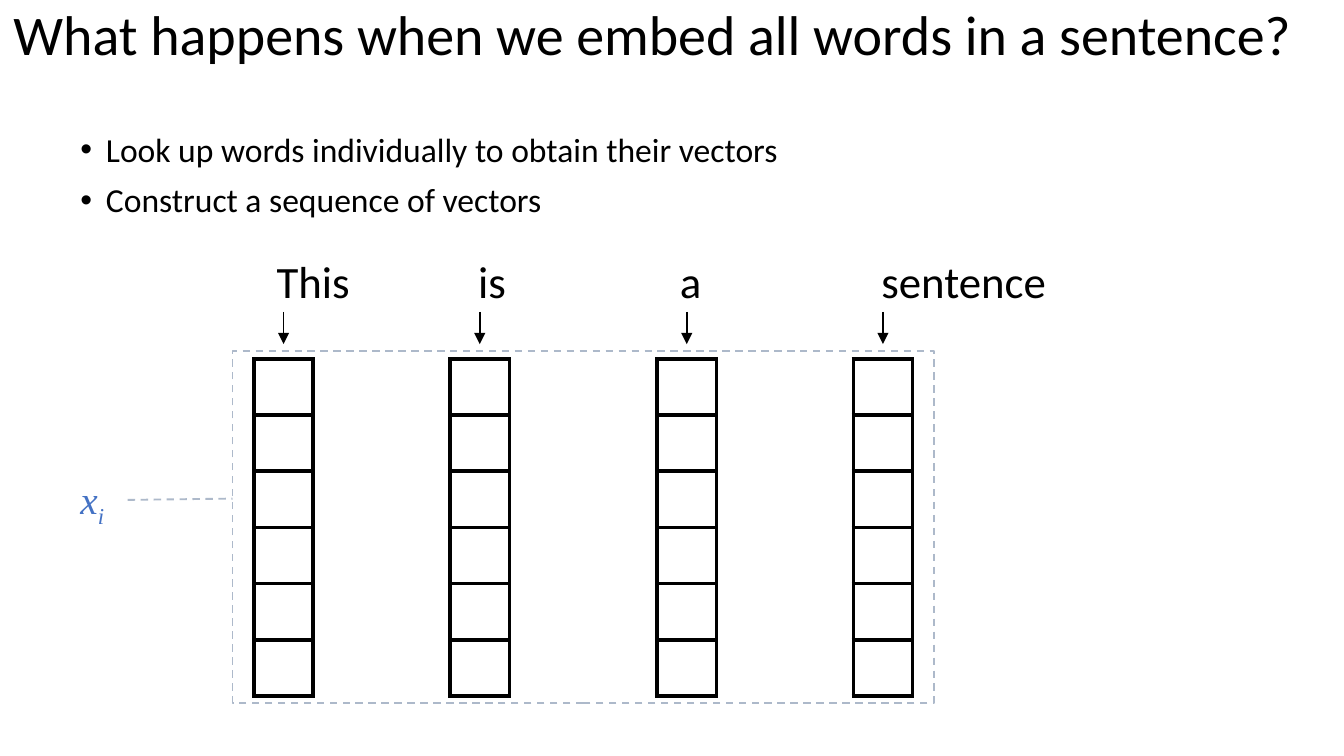
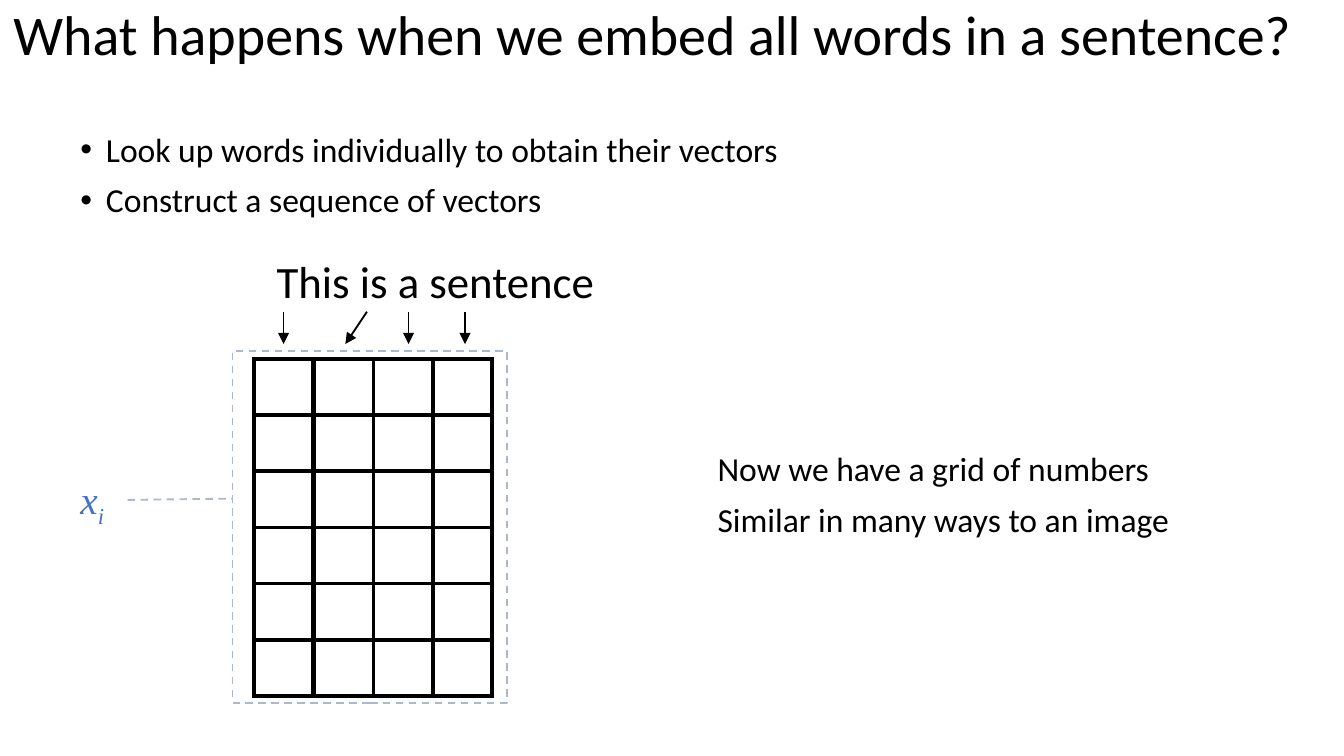
from pptx import Presentation
from pptx.dml.color import RGBColor
from pptx.enum.dml import MSO_LINE_DASH_STYLE as DASH
from pptx.enum.shapes import MSO_CONNECTOR as CONN, MSO_SHAPE as SHAPE
from pptx.enum.text import MSO_ANCHOR as ANCHOR, MSO_AUTO_SIZE as AUTO, PP_ALIGN as ALIGN
from pptx.oxml import parse_xml
from pptx.oxml.ns import nsdecls, qn
from pptx.oxml.xmlchemy import OxmlElement
from pptx.util import Pt

EMU_PER_PX = 9144  # 100 px to the inch
COLORS = {"text": "000000", "symbol": "4472C4", "frame": "ADB9CA"}
FONT, MATH_FONT = "Calibri", "Times New Roman"

TITLE = "What happens when we embed all words in a sentence?"
STEPS = ["Look up words individually to obtain their vectors",
         "Construct a sequence of vectors"]
REMARKS = ["Now we have a grid of numbers", "Similar in many ways to an image"]

# Geometry shared by both slides
VECTOR_TOP, VECTOR_W, VECTOR_H, VECTOR_SIZE = 267, 44, 251, 6
ARROW_TOP, ARROW_BOTTOM = 232, 256
FRAME_LEFT, FRAME_TOP, FRAME_H = 173, 261, 262
WORD_STEP = 150


def px(n):
    return int(n * EMU_PER_PX)


def rgb(name):
    return RGBColor.from_string(COLORS[name])


def add_run(p, text, size, color="text", font=FONT):
    r = p.add_run()
    r.text = text
    r.font.size = Pt(size)
    r.font.name = font
    r.font.color.rgb = rgb(color)
    return r


def add_box(slide, x, y, w, h):
    tf = slide.shapes.add_textbox(px(x), px(y), px(w), px(h)).text_frame
    tf.word_wrap = True
    return tf


def add_title(slide, text):
    sp = slide.shapes.title
    sp.left, sp.top, sp.width, sp.height = 0, 0, px(1000), px(94)
    tf = sp.text_frame
    tf.auto_size = AUTO.NONE
    tf.vertical_anchor = ANCHOR.TOP
    p = tf.paragraphs[0]
    p.alignment = ALIGN.LEFT
    p.line_spacing = 0.9
    add_run(p, text, 30)


def add_lines(slide, x, y, w, lines, bulleted=False):
    tf = add_box(slide, x, y, w, 79)
    for i, line in enumerate(lines):
        p = tf.add_paragraph() if i else tf.paragraphs[0]
        p.line_spacing = 0.9
        if i:
            p.space_before = Pt(7.5)
        if bulleted:
            pPr = p._p.get_or_add_pPr()
            pPr.set("marL", str(px(19)))
            pPr.set("indent", str(-px(19)))
            pPr.append(parse_xml(f'<a:buFont {nsdecls("a")} typeface="Arial"/>'))
            pPr.append(parse_xml(f'<a:buChar {nsdecls("a")} char="•"/>'))
        add_run(p, line, 18)


def add_sentence(slide, text, w):
    p = add_box(slide, 196, 184, w, 50).paragraphs[0]
    stops = text.count("\t")
    if stops:
        tabs = OxmlElement("a:tabLst")
        for i in range(1, stops + 1):
            tab = OxmlElement("a:tab")
            tab.set("pos", str(px(WORD_STEP * i)))
            tab.set("algn", "l")
            tabs.append(tab)
        p._p.get_or_add_pPr().append(tabs)
    add_run(p, text, 24)


def set_borders(cell, width):
    tcPr = cell._tc.get_or_add_tcPr()
    for i, side in enumerate("LRTB"):
        tcPr.insert(i, parse_xml(
            f'<a:ln{side} {nsdecls("a")} w="{Pt(width)}"><a:solidFill>'
            f'<a:srgbClr val="{COLORS["text"]}"/></a:solidFill></a:ln{side}>'))


def add_vector(slide, x):
    table = slide.shapes.add_table(VECTOR_SIZE, 1, px(x), px(VECTOR_TOP),
                                   px(VECTOR_W), px(VECTOR_H)).table
    table.first_row = table.horz_banding = False
    for row in table.rows:
        cell = row.cells[0]
        cell.margin_top = cell.margin_bottom = 0
        cell.fill.background()
        set_borders(cell, 2.25)


def add_line(slide, x1, y1, x2, y2, color, dashed=False, arrow=False):
    c = slide.shapes.add_connector(CONN.STRAIGHT, px(x1), px(y1), px(x2), px(y2))
    c.line.color.rgb = rgb(color)
    c.line.width = Pt(1)
    if dashed:
        c.line.dash_style = DASH.DASH
    spPr = c._element.spPr
    if arrow:
        spPr.find(qn("a:ln")).append(
            parse_xml(f'<a:tailEnd {nsdecls("a")} type="triangle"/>'))
    spPr.append(OxmlElement("a:effectLst"))


def add_frame(slide, w):
    sp = slide.shapes.add_shape(SHAPE.RECTANGLE, px(FRAME_LEFT), px(FRAME_TOP),
                                px(w), px(FRAME_H))
    sp.shadow.inherit = False
    sp.fill.background()
    sp.line.color.rgb = rgb("frame")
    sp.line.width = Pt(1)
    sp.line.dash_style = DASH.DASH


def add_symbol(slide):
    p = add_box(slide, 50, 349, 45, 45).paragraphs[0]
    for text in ("x", "i"):
        r = add_run(p, text, 21, "symbol", MATH_FONT)
        r.font.italic = True
    r._r.get_or_add_rPr().set("baseline", "-25000")  # subscript


def add_embedding_slide(prs, sentence, sentence_w, vectors, arrows, frame_w):
    slide = prs.slides.add_slide(prs.slide_layouts[5])
    add_title(slide, TITLE)
    add_lines(slide, 50, 94, 900, STEPS, bulleted=True)
    add_sentence(slide, sentence, sentence_w)
    for x in vectors:
        add_vector(slide, x)
    for start, end in arrows:
        add_line(slide, start, ARROW_TOP, end, ARROW_BOTTOM, "text", arrow=True)
    # Symbol tied to the framed vectors
    add_symbol(slide)
    add_frame(slide, frame_w)
    add_line(slide, 95, 372, FRAME_LEFT, 371, "frame", dashed=True)
    return slide


def main():
    prs = Presentation()
    prs.slide_width = px(1000)
    prs.slide_height = px(1000) * 9 // 16

    # Separate vectors, one per word
    vectors = [189, 335, 489, 635]
    centers = [x + VECTOR_W // 2 for x in vectors]
    add_embedding_slide(prs, "This\tis\ta\tsentence", 598, vectors,
                        zip(centers, centers), 522)

    # Vectors pushed together into a grid
    slide = add_embedding_slide(prs, "This is a sentence", 259, [189, 234, 278, 322],
                                [(211, 211), (273, 257), (304, 304), (346, 346)], 204)
    add_lines(slide, 524, 332, 395, REMARKS)

    prs.save("out.pptx")


if __name__ == "__main__":
    main()
